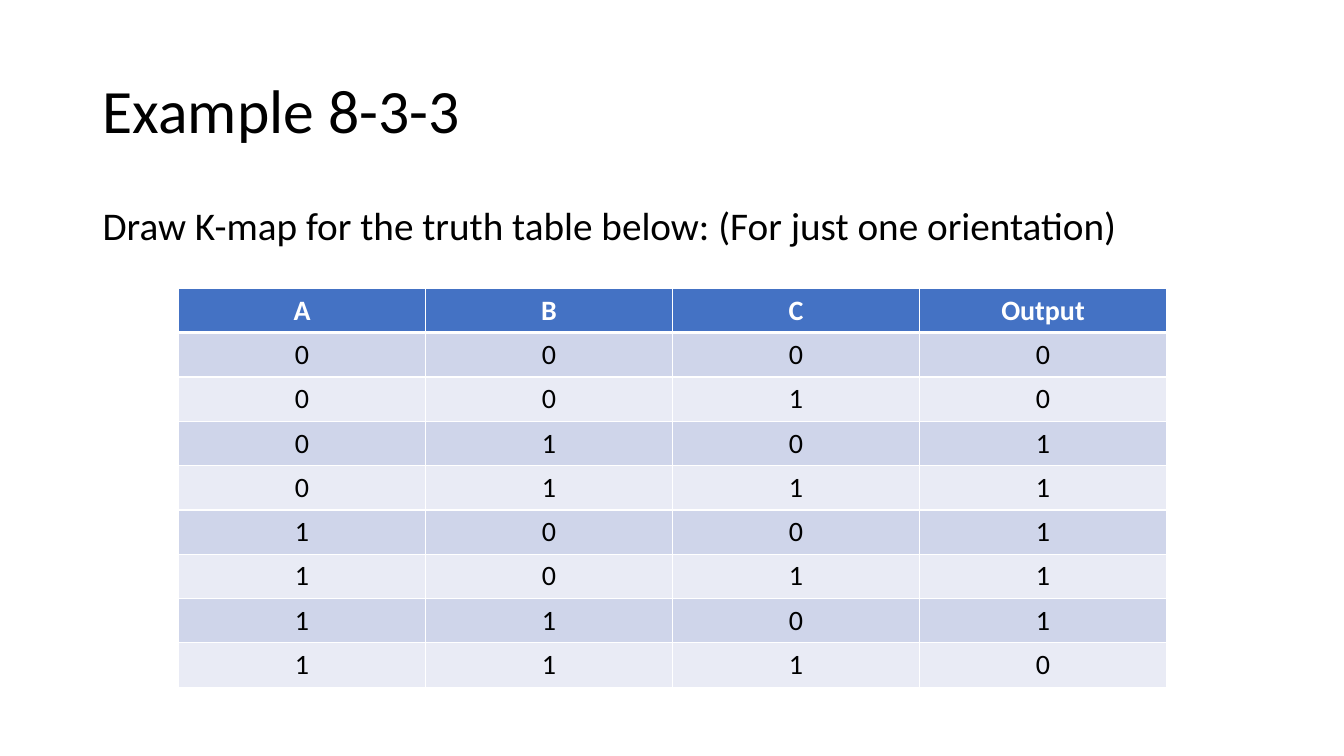
"""Build the K-map example slide with its truth table."""
import itertools

import lxml.etree
import pptx
import pptx.dml.color
import pptx.enum.text
import pptx.oxml.ns
import pptx.util

Inches = pptx.util.Inches
Pt = pptx.util.Pt
ANCHOR = pptx.enum.text.MSO_ANCHOR
ALIGN = pptx.enum.text.PP_ALIGN
qn = pptx.oxml.ns.qn

FONT = "Calibri"
BLACK, WHITE = "000000", "FFFFFF"
HEADER_FILL = "4472C4"
BAND_FILLS = ("E9EBF5", "CFD5EA")
INPUTS = ("A", "B", "C")
OUTPUTS = (0, 0, 1, 1, 1, 1, 1, 0)
COLUMN_WIDTH, ROW_HEIGHT = 2.45, 0.44


def rgb(hex_color):
    """Turn a hex string into a colour."""
    return pptx.dml.color.RGBColor.from_string(hex_color)


def add_run(paragraph, text, size, color, bold=False):
    """Add one formatted run to a paragraph."""
    run = paragraph.add_run()
    run.text = text
    run.font.name = FONT
    run.font.size = Pt(size)
    run.font.bold = bold
    run.font.color.rgb = rgb(color)


def add_text(slide, box, text, size, anchor):
    """Add a wrapped text box holding one line of text."""
    frame = slide.shapes.add_textbox(*map(Inches, box)).text_frame
    frame.word_wrap = True
    frame.vertical_anchor = anchor
    paragraph = frame.paragraphs[0]
    paragraph.line_spacing = 0.9
    add_run(paragraph, text, size, BLACK)


def add_border(cell, side, width):
    """Draw one white border of a cell."""
    properties = cell._tc.get_or_add_tcPr()
    line = lxml.etree.SubElement(properties, qn(f"a:ln{side}"), w=str(Pt(width)))
    fill = lxml.etree.SubElement(line, qn("a:solidFill"))
    lxml.etree.SubElement(fill, qn("a:srgbClr"), val=WHITE)


def fill_cell(cell, text, row):
    """Style and fill one cell according to its row."""
    is_header = row == 0
    widths = {"L": 1, "R": 1, "T": 3 if row == 1 else 1, "B": 3 if is_header else 1}
    for side, width in widths.items():
        add_border(cell, side, width)
    cell.fill.solid()
    cell.fill.fore_color.rgb = rgb(HEADER_FILL if is_header else BAND_FILLS[row % 2])
    cell.vertical_anchor = ANCHOR.MIDDLE
    paragraph = cell.text_frame.paragraphs[0]
    paragraph.alignment = ALIGN.CENTER
    add_run(paragraph, text, 20, WHITE if is_header else BLACK, is_header)


def add_truth_table(slide, left, top):
    """Add the table of all input combinations and their outputs."""
    combinations = itertools.product((0, 1), repeat=len(INPUTS))
    rows = [(*INPUTS, "Output")]
    rows += [(*bits, output) for bits, output in zip(combinations, OUTPUTS)]
    row_count, column_count = len(rows), len(rows[0])
    truth_table = slide.shapes.add_table(
        row_count, column_count, Inches(left), Inches(top),
        Inches(COLUMN_WIDTH * column_count), Inches(ROW_HEIGHT * row_count),
    ).table
    for row, values in enumerate(rows):
        for column, value in enumerate(values):
            fill_cell(truth_table.cell(row, column), str(value), row)


def main():
    """Build and save the slide."""
    presentation = pptx.Presentation()
    presentation.slide_width = Inches(13.33)
    presentation.slide_height = Inches(7.5)
    slide = presentation.slides.add_slide(presentation.slide_layouts[6])
    add_text(slide, (0.92, 0.4, 11.5, 1.45), "Example 8-3-3", 44, ANCHOR.MIDDLE)
    add_text(
        slide, (0.92, 2, 11.5, 4.76),
        "Draw K-map for the truth table below: (For just one orientation)",
        28, ANCHOR.TOP,
    )
    add_truth_table(slide, 1.77, 2.86)
    presentation.save("out.pptx")


if __name__ == "__main__":
    main()
